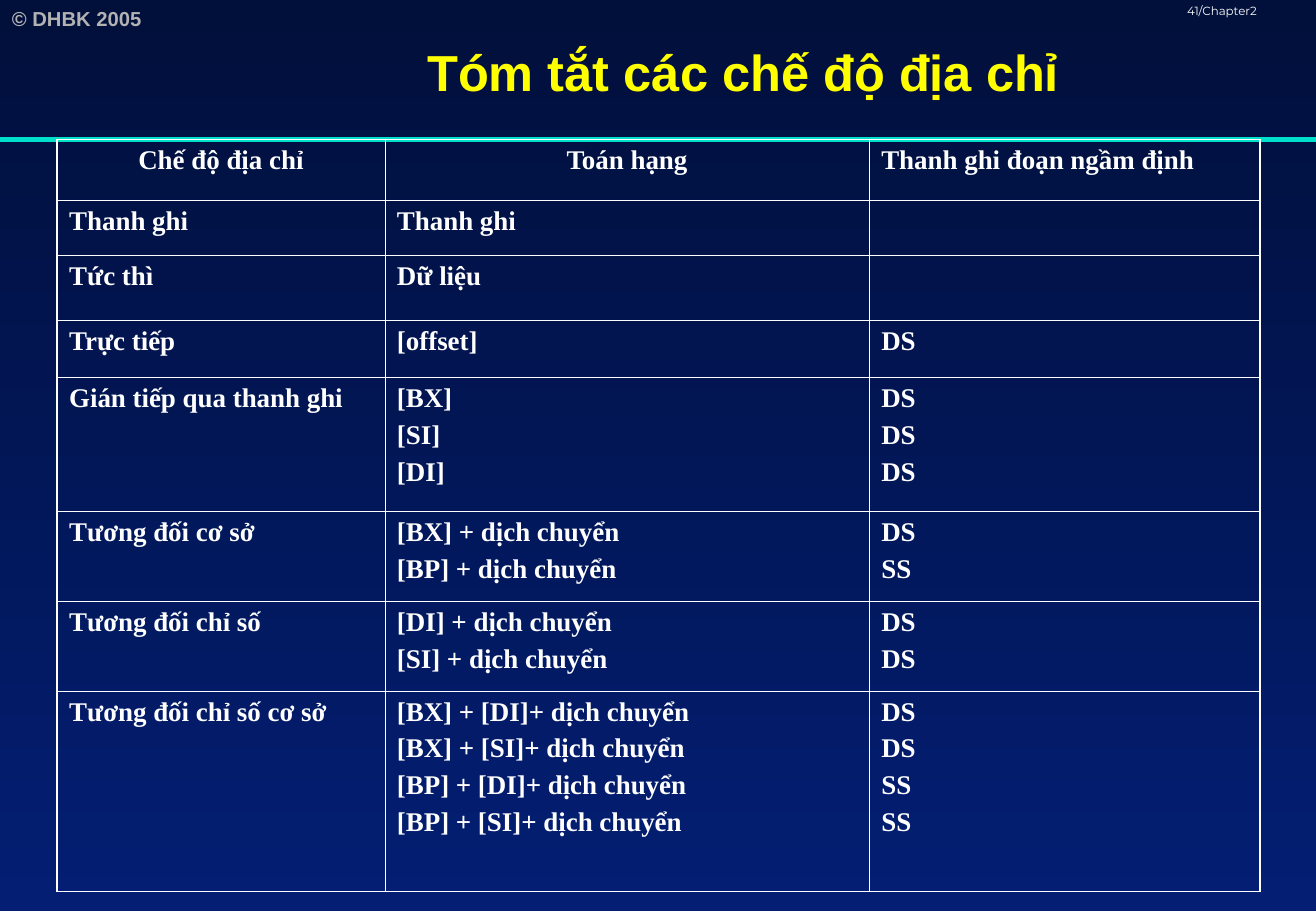
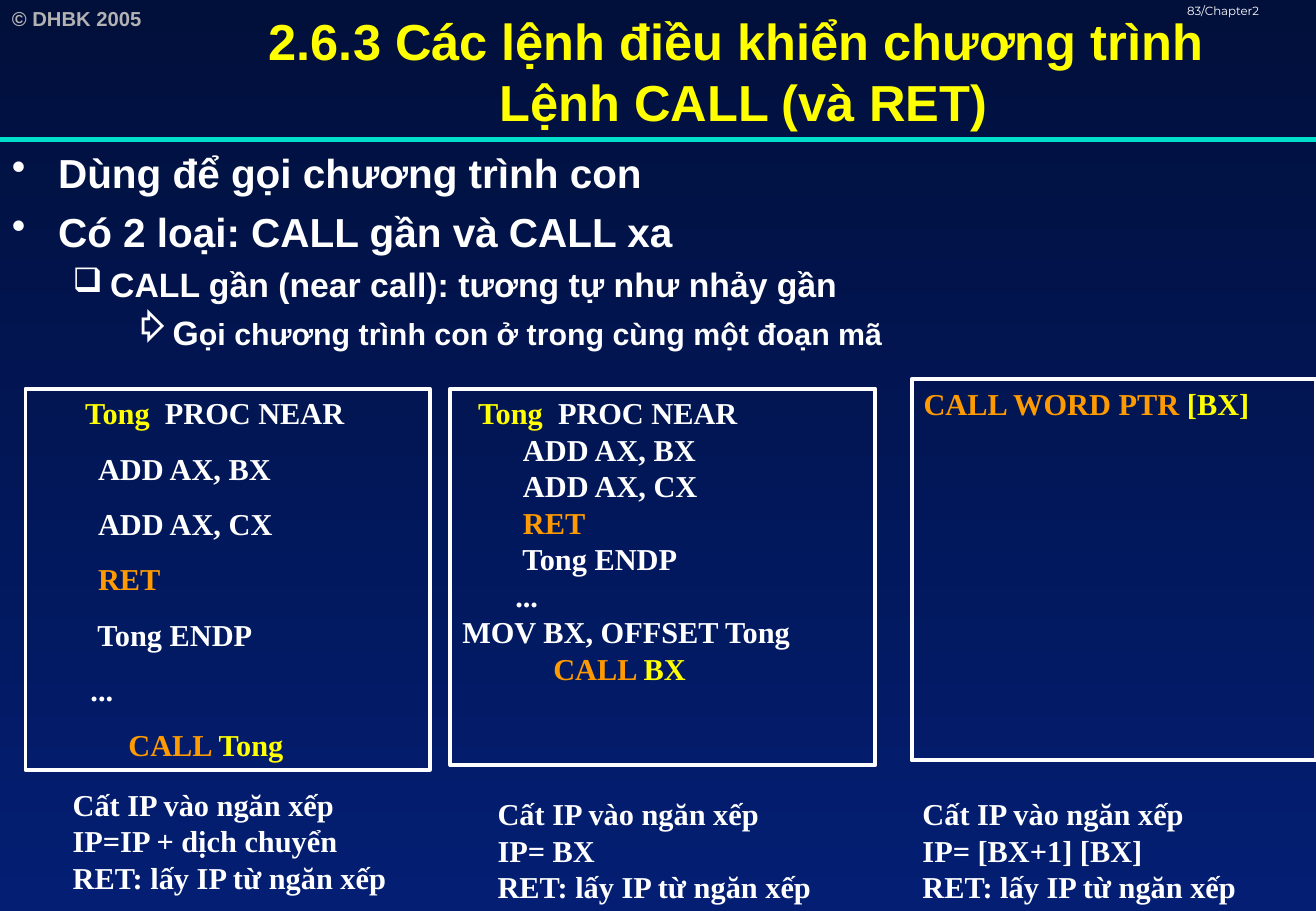
from lxml.etree import SubElement
from pptx import Presentation
from pptx.dml.color import RGBColor
from pptx.enum.shapes import MSO_CONNECTOR, MSO_SHAPE
from pptx.enum.text import MSO_ANCHOR, PP_ALIGN
from pptx.oxml.ns import qn
from pptx.util import Inches, Pt

COLORS = {
    "sky": "010F3B", "deep": "031E73", "band": "00DFCA", "title": "FFFF00",
    "text": "FFFFFF", "credit": "B2B2B2", "keyword": "FF9B00",
}
SANS, SERIF, SMALL = "Arial", "Times New Roman", "Montserrat"
WIDTH, HEIGHT = 10.84, 7.5
BAND_Y = 1.15

MODES = [
    ("Chế độ địa chỉ", ["Toán hạng"], ["Thanh ghi đoạn ngầm định"]),
    ("Thanh ghi", ["Thanh ghi"], []),
    ("Tức thì", ["Dữ liệu"], []),
    ("Trực tiếp", ["[offset]"], ["DS"]),
    ("Gián tiếp qua thanh ghi", ["[BX]", "[SI]", "[DI]"], ["DS"] * 3),
    ("Tương đối cơ sở", ["[BX] + dịch chuyển", "[BP] + dịch chuyển"], ["DS", "SS"]),
    ("Tương đối chỉ số", ["[DI] + dịch chuyển", "[SI] + dịch chuyển"], ["DS", "DS"]),
    ("Tương đối chỉ số cơ sở",
     [f"[{base}] + [{index}]+ dịch chuyển" for base in ("BX", "BP") for index in ("DI", "SI")],
     ["DS", "DS", "SS", "SS"]),
]
MODE_COLUMNS = [2.7, 3.99, 3.22]
MODE_ROWS = [0.5, 0.45, 0.54, 0.47, 1.1, 0.74, 0.74, 1.65]

OUTLINE = [
    (0.38, 0.38, 0, "•", [("Dùng để gọi chương trình con", 24)]),
    (0.38, 0.38, 6, "•", [("Có 2 loại: CALL gần và CALL xa", 24)]),
    (0.81, 0.31, 5, "❑", [("CALL gần (near call): tương tự như nhảy gần", 20)]),
    (1.25, 0.25, 4.5, "⇨", [("G", 20), ("ọi chương trình con ở trong cùng một đoạn mã", 18)]),
]
PROCEDURE = [
    [("Tong", "title"), ("  PROC NEAR", "text")],
    [("\tADD AX, BX", "text")],
    [("\tADD AX, CX", "text")],
    [("     \t", "text"), ("RET", "keyword")],
    [("        Tong ENDP", "text")],
    [("       ...", "text")],
]


def call_line(target):
    """Return the runs of an indented CALL instruction."""
    return [("            ", "text"), ("CALL ", "keyword"), (target, "title")]


CALLS = [
    ((0.21, 3.2, 3.33, 3.14), 6, 11.2, PROCEDURE + [call_line("Tong")],
     (0.5, 6.42), "IP=IP + dịch chuyển"),
    ((3.71, 3.2, 3.5, 3.1), 2, 0,
     PROCEDURE + [[("MOV BX, OFFSET Tong", "text")], call_line("BX")],
     (4, 6.5), "IP= BX"),
    ((7.51, 3.12, 3.33, 3.14), 0, 0,
     [[("CALL WORD PTR ", "keyword"), ("[BX]", "title")]],
     (7.5, 6.5), "IP= [BX+1] [BX]"),
]


def rgb(name):
    """Look up a palette colour."""
    return RGBColor.from_string(COLORS[name])


def add_run(paragraph, text, size, face, color="text", bold=True):
    """Append one styled run."""
    run = paragraph.add_run()
    run.text = text
    run.font.size, run.font.name, run.font.bold = Pt(size), face, bold
    run.font.color.rgb = rgb(color)


def next_paragraph(frame, index, space=0):
    """Return the paragraph for a line, spaced from the one above it."""
    if index == 0:
        return frame.paragraphs[0]
    paragraph = frame.add_paragraph()
    paragraph.space_before = Pt(space)
    return paragraph


def add_frame(slide, box, wrap=True):
    """Add a text box and return its frame."""
    frame = slide.shapes.add_textbox(*map(Inches, box)).text_frame
    frame.word_wrap = wrap
    return frame


def set_background(master):
    """Give every slide the vertical blue gradient."""
    fill = master.background.fill
    fill.gradient()
    fill.gradient_angle = 270
    for stop, name, position in zip(fill.gradient_stops, ("sky", "deep"), (0, 1)):
        stop.color.rgb = rgb(name)
        stop.position = position


def add_header(slide, title_lines, page):
    """Place the credit, band, page mark and title."""
    credit = add_frame(slide, (0, 0, 1.57, 0.3))
    add_run(credit.paragraphs[0], "© DHBK 2005", 12, SANS, "credit")
    band = slide.shapes.add_connector(
        MSO_CONNECTOR.STRAIGHT, 0, Inches(BAND_Y), Inches(WIDTH), Inches(BAND_Y))
    band.line.color.rgb, band.line.width = rgb("band"), Pt(3)
    SubElement(band.element.spPr, qn("a:effectLst"))
    mark = add_frame(slide, (9.68, 0, 1.16, 0.25)).paragraphs[0]
    mark.line_spacing = 0.8
    add_run(mark, f"{page}/Chapter2", 7, SMALL, bold=False)
    heading = add_frame(slide, (1.41, 0, 9.43, 1.17))
    heading.vertical_anchor = MSO_ANCHOR.MIDDLE
    paragraph = heading.paragraphs[0]
    paragraph.alignment = PP_ALIGN.CENTER
    for index, line in enumerate(title_lines):
        if index:
            paragraph.add_line_break()
        add_run(paragraph, line, 30, SANS, "title")


def set_borders(cell, outer_sides):
    """Rule a cell, heavier on the outer sides of the table."""
    properties = cell._tc.get_or_add_tcPr()
    for side in "LRTB":
        width = Pt(1.08 if side in outer_sides else 0.45)
        edge = SubElement(properties, qn(f"a:ln{side}"), w=str(int(width)))
        SubElement(SubElement(edge, qn("a:solidFill")), qn("a:srgbClr"), val=COLORS["text"])


def add_modes_table(slide, left, top):
    """Draw the table of addressing modes."""
    size = sum(MODE_COLUMNS), sum(MODE_ROWS)
    table = slide.shapes.add_table(
        len(MODES), len(MODE_COLUMNS), *map(Inches, (left, top, *size))).table
    table.first_row = table.horz_banding = False
    for column, width in zip(table.columns, MODE_COLUMNS):
        column.width = Inches(width)
    for r, (mode, operands, segments) in enumerate(MODES):
        table.rows[r].height = Inches(MODE_ROWS[r])
        for c, lines in enumerate(([mode], operands, segments)):
            cell = table.cell(r, c)
            edges = {"L": c == 0, "R": c == len(MODE_COLUMNS) - 1,
                     "T": r == 0, "B": r == len(MODES) - 1}
            set_borders(cell, [side for side, outer in edges.items() if outer])
            cell.fill.background()
            for index, line in enumerate(lines):
                paragraph = next_paragraph(cell.text_frame, index, 4)
                if r == 0 and c < 2:
                    paragraph.alignment = PP_ALIGN.CENTER
                add_run(paragraph, line, 16, SERIF)


def add_outline(slide, box):
    """Place the bulleted outline."""
    frame = add_frame(slide, box)
    for index, (margin, hang, space, bullet, runs) in enumerate(OUTLINE):
        paragraph = next_paragraph(frame, index, space)
        properties = paragraph._p.get_or_add_pPr()
        properties.set("marL", str(Inches(margin)))
        properties.set("indent", str(-Inches(hang)))
        tint = SubElement(properties, qn("a:buClr"))
        SubElement(tint, qn("a:srgbClr"), val=COLORS["text"])
        SubElement(properties, qn("a:buChar"), char=bullet)
        for text, size in runs:
            add_run(paragraph, text, size, SANS)


def add_code(slide, box, indent, space, lines):
    """Draw a framed code listing."""
    card = slide.shapes.add_shape(MSO_SHAPE.RECTANGLE, *map(Inches, box))
    card.shadow.inherit = False
    card.fill.background()
    card.line.color.rgb, card.line.width = rgb("text"), Pt(2.25)
    frame = card.text_frame
    frame.word_wrap = True
    frame.vertical_anchor = MSO_ANCHOR.TOP
    for index, runs in enumerate(lines):
        paragraph = next_paragraph(frame, index, space)
        paragraph.alignment = PP_ALIGN.LEFT
        if index == 0 and indent:
            add_run(paragraph, " " * indent, 18, SMALL, bold=False)
        for text, color in runs:
            add_run(paragraph, text, 18, SERIF, color)


def add_effect(slide, left, top, jump):
    """Place the note on what a call does to IP."""
    frame = add_frame(slide, (left, top, 2.81, 1), wrap=False)
    for index, line in enumerate(("Cất IP vào ngăn xếp", jump, "RET: lấy IP từ ngăn xếp")):
        add_run(next_paragraph(frame, index), line, 18, SERIF)


def build_modes_slide(slide):
    """Build the summary of addressing modes."""
    add_header(slide, ["Tóm tắt các chế độ địa chỉ"], 41)
    add_modes_table(slide, 0.47, BAND_Y)


def build_call_slide(slide):
    """Build the slide on CALL and RET."""
    add_header(slide, ["2.6.3 Các lệnh điều khiển chương trình ", "Lệnh CALL (và RET)"], 83)
    add_outline(slide, (0, 1.17, WIDTH, 1.9))
    for box, indent, space, lines, corner, jump in CALLS:
        add_code(slide, box, indent, space, lines)
        add_effect(slide, *corner, jump)


def main():
    """Build and save the presentation."""
    deck = Presentation()
    deck.slide_width, deck.slide_height = Inches(WIDTH), Inches(HEIGHT)
    set_background(deck.slide_master)
    for build in (build_modes_slide, build_call_slide):
        build(deck.slides.add_slide(deck.slide_layouts[6]))
    deck.save("out.pptx")


if __name__ == "__main__":
    main()
